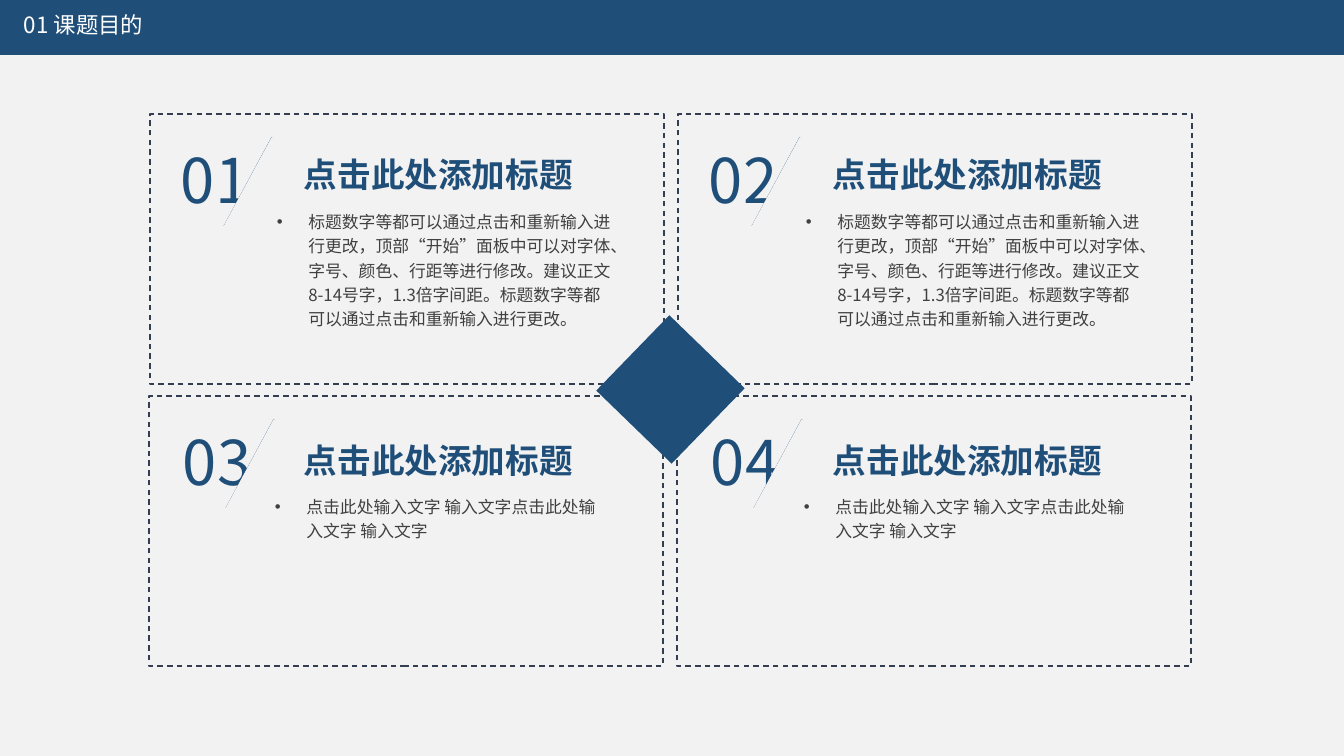
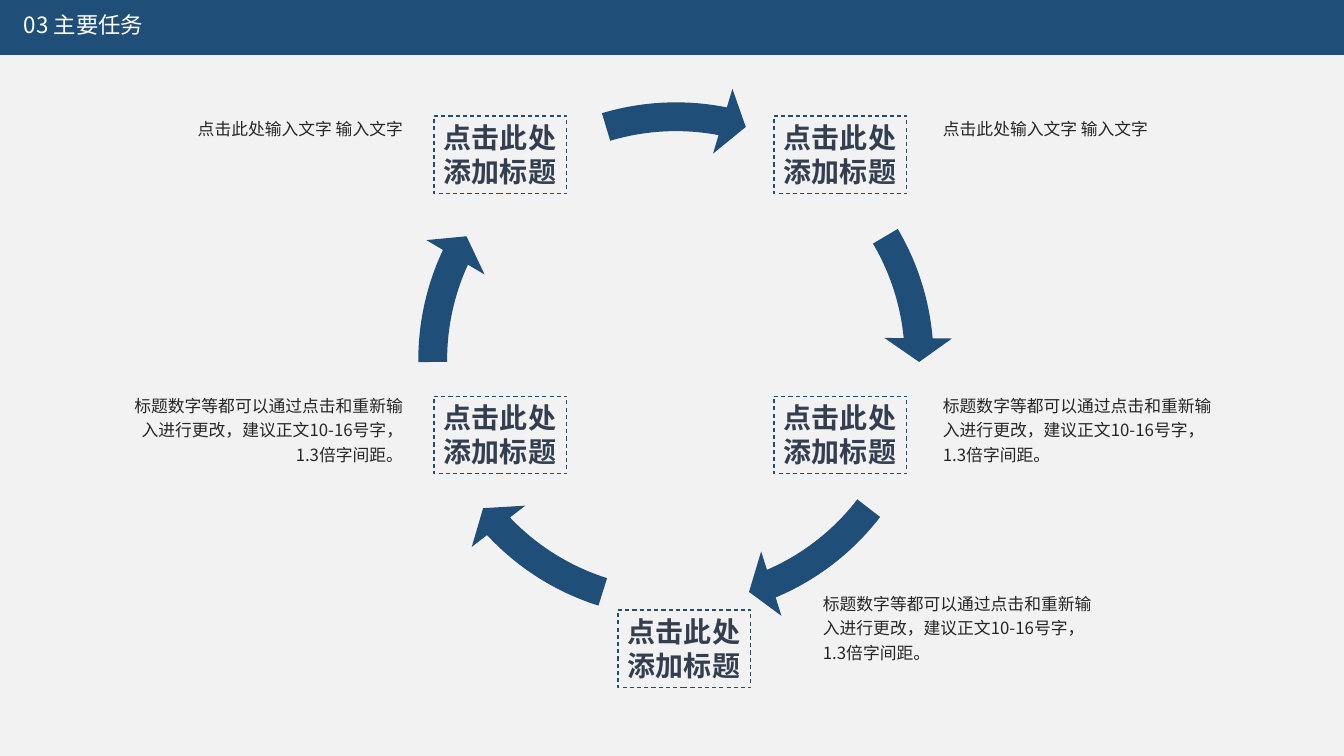
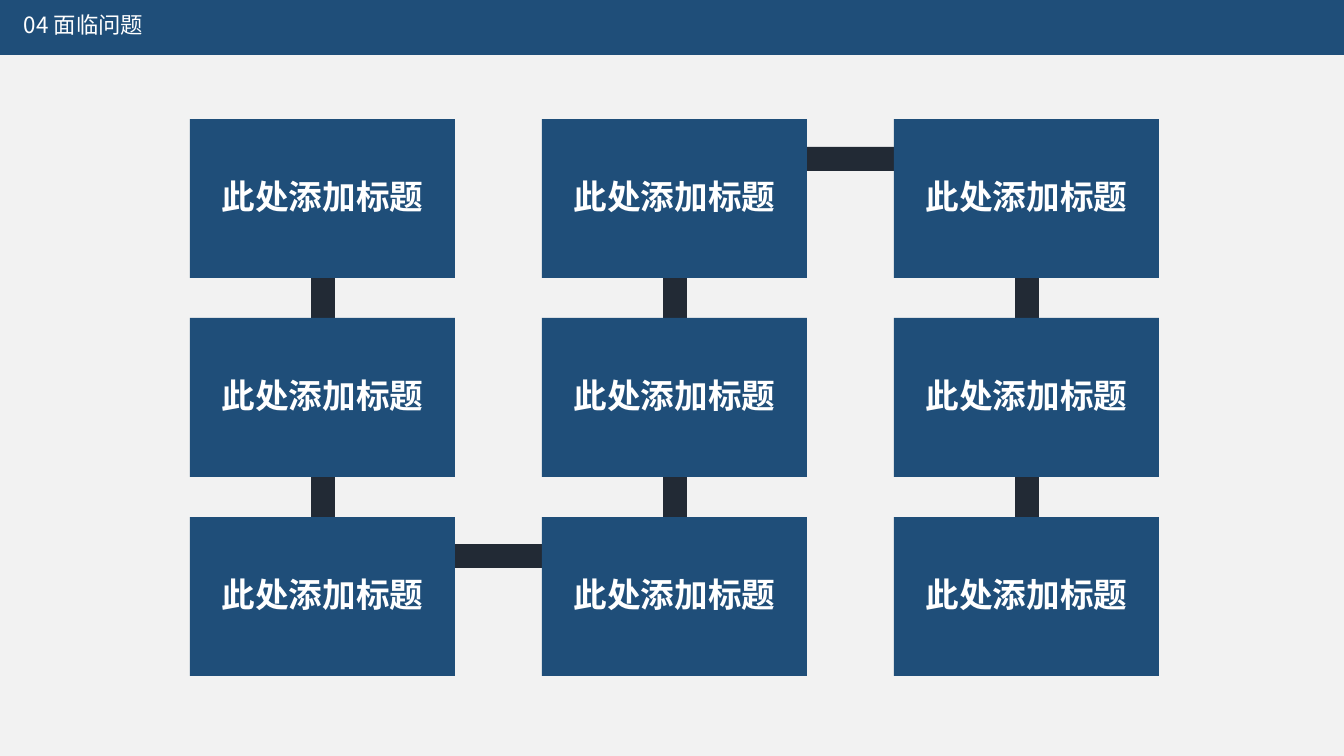
from lxml.etree import SubElement
from pptx import Presentation
from pptx.dml.color import RGBColor
from pptx.enum.dml import MSO_LINE
from pptx.enum.shapes import MSO_CONNECTOR, MSO_SHAPE as SHAPE
from pptx.enum.text import MSO_ANCHOR as ANCHOR, MSO_AUTO_SIZE as AUTO, PP_ALIGN as ALIGN
from pptx.oxml.ns import qn
from pptx.util import Pt

PX = 12192000 / 1344
FONT = "Noto Sans CJK SC"
NAVY = RGBColor(0x1F, 0x4E, 0x79)
SLATE = RGBColor(0x33, 0x3F, 0x50)
INK = RGBColor(0x22, 0x2A, 0x35)
PAPER = RGBColor(0xF2, 0xF2, 0xF2)
WHITE = RGBColor(0xFF, 0xFF, 0xFF)
GREY = RGBColor(0x40, 0x40, 0x40)
CHARCOAL = RGBColor(0x26, 0x26, 0x26)

FIT_LINE = {"word_wrap": False, "auto_size": AUTO.SHAPE_TO_FIT_TEXT, "vertical_anchor": ANCHOR.TOP}
FIT_BLOCK = {**FIT_LINE, "word_wrap": True}
BODY_LINES = {"line_spacing": 1.2, "space_before": Pt(6)}
INSET = round(25 * PX)

HEADING = {
    "frame": {"word_wrap": True},
    "paragraph": {"line_spacing": 0.9, "space_before": Pt(10)},
    "font": {"size": Pt(16)},
    "color": WHITE,
}
NUMBER = {"frame": FIT_LINE, "paragraph": {}, "font": {"size": Pt(44)}, "color": NAVY}
CARD_TITLE = {
    "frame": FIT_LINE,
    "paragraph": {"line_spacing": 1.3},
    "font": {"size": Pt(24), "bold": True},
    "color": NAVY,
}
CARD_BODY = {"frame": FIT_BLOCK, "paragraph": BODY_LINES, "font": {"size": Pt(12)}, "color": GREY}
STEP_LABEL = {
    "frame": FIT_LINE,
    "paragraph": {"alignment": ALIGN.LEFT},
    "font": {"size": Pt(20), "bold": True},
    "color": SLATE,
}
STEP_NOTE = {**CARD_BODY, "color": CHARCOAL}
STEP_NOTE_RIGHT = {**STEP_NOTE, "paragraph": {**BODY_LINES, "alignment": ALIGN.RIGHT}}
PROBLEM = {
    "frame": {
        "word_wrap": True,
        "vertical_anchor": ANCHOR.MIDDLE,
        "margin_left": INSET,
        "margin_right": INSET,
        "margin_top": INSET,
        "margin_bottom": INSET,
    },
    "paragraph": {"alignment": ALIGN.CENTER, "line_spacing": 0.9},
    "font": {"size": Pt(24), "bold": True},
    "color": WHITE,
}


def draw(slide, kind, area, fill=None, border=None, weight=1):
    shape = slide.shapes.add_shape(kind, *[round(value * PX) for value in area])
    shape.shadow.inherit = False
    if fill is None:
        shape.fill.background()
    else:
        shape.fill.solid()
        shape.fill.fore_color.rgb = fill
    if border is None:
        shape.line.fill.background()
    else:
        shape.line.color.rgb = border
        shape.line.width = Pt(weight)
        shape.line.dash_style = MSO_LINE.DASH
    return shape


def write(slide, area, lines, style, holder=None):
    if holder is None:
        holder = slide.shapes.add_textbox(*[round(value * PX) for value in area])
    frame = holder.text_frame
    frame.text = "\n".join(lines)
    for name, value in style["frame"].items():
        setattr(frame, name, value)
    for paragraph in frame.paragraphs:
        for name, value in style["paragraph"].items():
            setattr(paragraph, name, value)
        for run in paragraph.runs:
            for name, value in {"name": FONT, **style["font"]}.items():
                setattr(run.font, name, value)
            run.font.color.rgb = style["color"]
            SubElement(run.font._element, qn("a:ea")).set("typeface", FONT)
    return frame


deck = Presentation()
deck.slide_width = round(1344 * PX)
deck.slide_height = round(756 * PX)
paper = deck.slide_master.background.fill
paper.solid()
paper.fore_color.rgb = PAPER

pages = []
for heading in ("01 课题目的", "03 主要任务", "04 面临问题"):
    page = deck.slides.add_slide(deck.slide_layouts[6])
    draw(page, SHAPE.RECTANGLE, (0, 0, 1344, 55), NAVY)
    write(page, (14, 9, 1317, 33), [heading], HEADING)
    pages.append(page)
purpose, tasks, problems = pages

LONG_BODY = (
    "标题数字等都可以通过点击和重新输入进行更改，顶部“开始”面板中可以对字体、字号、颜色、"
    "行距等进行修改。建议正文8-14号字，1.3倍字间距。标题数字等都可以通过点击和重新输入进行更改。"
)
SHORT_BODY = "点击此处输入文字 输入文字点击此处输入文字 输入文字"
BULLET_INDENT = 285750

for index in range(4):
    row, column = divmod(index, 2)
    across, down = 528 * column, 282 * row
    left, top = 171 + across + 2 * row, 137 + down
    write(purpose, (left, top, 93, 85), [f"0{index + 1}"], NUMBER)
    ends = (left + 53, top + 89, left + 101, top)
    slash = purpose.shapes.add_connector(MSO_CONNECTOR.STRAIGHT, *[round(value * PX) for value in ends])
    slash.line.color.rgb = NAVY
    slash.line.width = Pt(0.5)
    SubElement(slash._element.spPr, qn("a:effectLst"))
    cutoff = draw(purpose, SHAPE.RECTANGLE, (left + 69, top + 3, 43, 122), PAPER)
    cutoff.rotation = 208.4
    draw(purpose, SHAPE.RECTANGLE, (150 + across - row, 114 + down, 514, 270), border=SLATE)
    write(purpose, (294 + 529 * column, 137 + 286 * row, 291, 64), ["点击此处添加标题"], CARD_TITLE)
    body, height = ((LONG_BODY, 132), (SHORT_BODY, 58))[row]
    area = (267 + 529 * column - 2 * row, 203 + 285 * row, 357, height)
    card = write(purpose, area, [body], CARD_BODY)
    indents = card.paragraphs[0]._p.get_or_add_pPr()
    indents.set("marL", str(BULLET_INDENT))
    indents.set("indent", str(-BULLET_INDENT))
    SubElement(indents, qn("a:buFont")).set("typeface", "Arial")
    SubElement(indents, qn("a:buChar")).set("char", "•")

diamond = draw(purpose, SHAPE.RECTANGLE, (618, 337, 105, 105), NAVY)
diamond.rotation = 44.1

ARROW_ANGLES = (
    (354.88, 329.44),
    (66.91, 37.56),
    (136.84, 107.5),
    (204.96, 179.52),
    (281.09, 253.31),
)
for end, start in ARROW_ANGLES:
    arrow = draw(tasks, SHAPE.CIRCULAR_ARROW, (399, 83, 554, 554), NAVY)
    for position, value in enumerate((5.2 / 100, 3.36, end * 0.6, start * 0.6, 6.1 / 100)):
        arrow.adjustments[position] = value

SHORT_NOTE = "点击此处输入文字 输入文字"
LONG_NOTE = "标题数字等都可以通过点击和重新输入进行更改，建议正文10-16号字，1.3倍字间距。"
STEPS = (
    (774, 116, 933, 110, 34, SHORT_NOTE, STEP_NOTE),
    (774, 396, 933, 387, 84, LONG_NOTE, STEP_NOTE),
    (618, 610, 813, 585, 84, LONG_NOTE, STEP_NOTE),
    (434, 396, 112, 387, 84, LONG_NOTE, STEP_NOTE_RIGHT),
    (434, 116, 112, 110, 34, SHORT_NOTE, STEP_NOTE_RIGHT),
)
for left, top, note_left, note_top, note_height, note, style in STEPS:
    label = draw(tasks, SHAPE.RECTANGLE, (left, top, 133, 78), border=NAVY, weight=0.75)
    write(tasks, None, ["点击此处", "添加标题"], STEP_LABEL, label)
    write(tasks, (note_left, note_top, 301, note_height), [note], style)

COLUMN_STEP, ROW_STEP = 352, 199
for column in range(3):
    for row in range(2):
        area = (224 + column * COLUMN_STEP, 246 + row * ROW_STEP, 198, 24)
        link = draw(problems, SHAPE.RECTANGLE, area, INK)
        link.rotation = 90
for left, top in ((323, 544), (675, 147)):
    draw(problems, SHAPE.RECTANGLE, (left, top, COLUMN_STEP, 24), INK)
for column in range(3):
    for row in range(3):
        area = (190 + column * COLUMN_STEP, 119 + row * ROW_STEP, 265, 159)
        tile = draw(problems, SHAPE.RECTANGLE, area, NAVY)
        write(problems, None, ["此处添加标题"], PROBLEM, tile)

deck.save("out.pptx")
